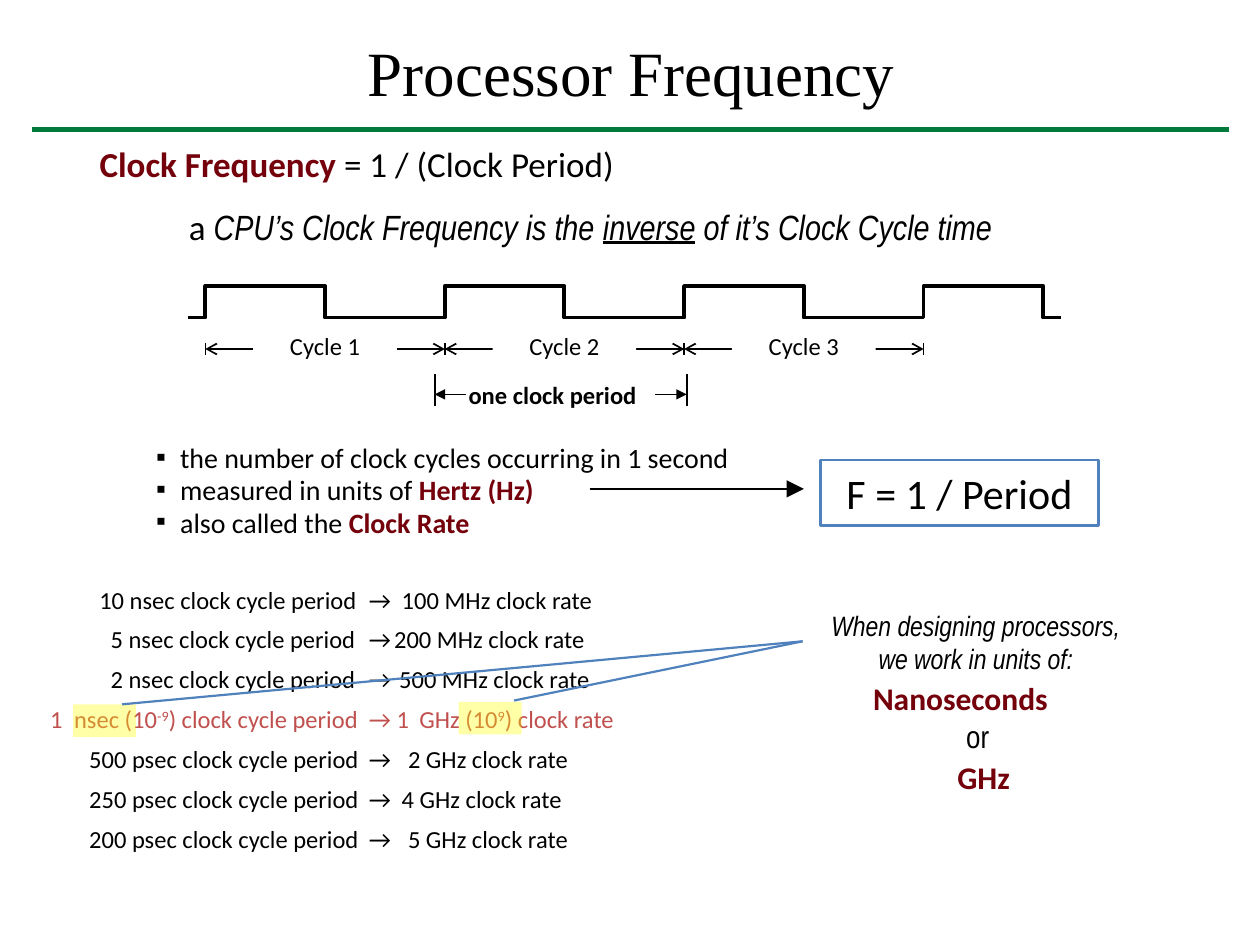
from lxml import etree
from pptx import Presentation
from pptx.dml.color import RGBColor
from pptx.enum.shapes import MSO_CONNECTOR, MSO_SHAPE
from pptx.enum.text import MSO_ANCHOR, MSO_AUTO_SIZE, PP_ALIGN
from pptx.oxml.ns import qn
from pptx.util import Pt

PX = 9144
STRAIGHT = MSO_CONNECTOR.STRAIGHT
RECTANGLE = MSO_SHAPE.RECTANGLE
TOP, MIDDLE, BOTTOM = MSO_ANCHOR.TOP, MSO_ANCHOR.MIDDLE, MSO_ANCHOR.BOTTOM
LEFT, CENTER = PP_ALIGN.LEFT, PP_ALIGN.CENTER
NO_RESIZE = MSO_AUTO_SIZE.NONE
BLACK, RED, GREEN, BLUE, CORAL = "000000", "73000A", "007A3A", "4F81BD", "C0504D"
WHITE, YELLOW = "FFFFFF", "FFFF00"
SANS, NARROW, SERIF = "Calibri", "Arial Narrow", "Times New Roman"
STRONG = {"bold": True, "color": RED}
SLANTED = {"italic": True, "font": NARROW}
RAISED = {"baseline": 30000}


def color(value):
    """Turn a hex string into a colour."""
    return RGBColor.from_string(value)


def px(*values):
    """Turn px lengths into EMU."""
    return [round(value * PX) for value in values]


def child(parent, tag, **attributes):
    """Append an XML element with the given attributes."""
    node = etree.SubElement(parent, qn(tag))
    for name, value in attributes.items():
        node.set(name, str(value))
    return node


def style_frame(box, anchor=TOP, insets=(10, 5, 10, 5), wrap=True):
    """Set the text layout of a box and return its frame."""
    frame = box.text_frame
    frame.auto_size = NO_RESIZE
    frame.word_wrap = wrap
    frame.vertical_anchor = anchor
    (frame.margin_left, frame.margin_top,
     frame.margin_right, frame.margin_bottom) = px(*insets)
    return frame


def write(frame, spans, size, align=LEFT, before=0, spacing=1.0, margin=0,
          hanging=0, bullet=None, tabs=()):
    """Add one paragraph, reusing the first while it is empty."""
    para = frame.paragraphs[0]
    if para.runs:
        para = frame.add_paragraph()
    properties = para._p.get_or_add_pPr()
    if margin:
        properties.set("marL", str(px(margin)[0]))
        properties.set("indent", str(px(-hanging)[0]))
    if bullet:
        child(properties, "a:buFont", typeface="Arial")
        child(properties, "a:buChar", char=bullet)
    if tabs:
        stops = child(properties, "a:tabLst")
        for stop in px(*tabs):
            child(stops, "a:tab", pos=stop, algn="l")
    para.alignment = align
    para.space_before = Pt(before)
    para.line_spacing = spacing
    for text, look in spans:
        span = para.add_run()
        span.text = text
        font = span.font
        font.size = Pt(size)
        font.name = look.get("font", SANS)
        font.color.rgb = color(look.get("color", BLACK))
        font.bold = look.get("bold", False)
        font.italic = look.get("italic", False)
        font.underline = look.get("underline", False)
        if "baseline" in look:
            span._r.get_or_add_rPr().set("baseline", str(look["baseline"]))


def text_box(page, left, top, width, height, **layout):
    """Add a text box and return its frame."""
    box = page.shapes.add_textbox(*px(left, top, width, height))
    return style_frame(box, **layout)


def rectangle(page, left, top, width, height, fill=None, line=None, alpha=None):
    """Add a rectangle with optional fill, outline and opacity."""
    box = page.shapes.add_shape(RECTANGLE, *px(left, top, width, height))
    box.shadow.inherit = False
    box.fill.background()
    box.line.fill.background()
    if fill:
        box.fill.solid()
        box.fill.fore_color.rgb = color(fill)
    if alpha:
        child(box.fill._xPr.find(qn("a:solidFill"))[0], "a:alpha", val=alpha)
    if line:
        box.line.color.rgb = color(line)
        box.line.width = Pt(1.5)
    return box


def connect(page, start, end, shade=BLACK, width=1, head=None, tail=None,
            size="med"):
    """Draw a straight line with optional arrowheads."""
    line = page.shapes.add_connector(STRAIGHT, *px(*start, *end))
    line.line.color.rgb = color(shade)
    line.line.width = Pt(width)
    stroke = line.line._get_or_add_ln()
    for tag, kind in (("a:headEnd", head), ("a:tailEnd", tail)):
        if kind:
            child(stroke, tag, type=kind, w=size, len=size)
    child(line._element.spPr, "a:effectLst")


def heading(page, left, top, width, height):
    """Place the title and the rule below it."""
    title = page.shapes.title
    title.left, title.top, title.width, title.height = px(left, top, width, height)
    frame = style_frame(title, anchor=BOTTOM, insets=(2, 1, 0, 0))
    write(frame, [("Processor Frequency", {"font": SERIF})], 36, CENTER)
    connect(page, (left, top + 78), (left + width, top + 78), GREEN, 3)


def definition(page, left, top, width):
    """State the frequency formula and its meaning."""
    frame = text_box(page, left, top, width, 75, insets=(7, 3, 7, 3))
    write(frame, [("Clock Frequency ", STRONG), ("= 1 / (Clock Period)", {})], 20)
    frame = text_box(page, left + 56, top + 57, width - 162, 32)
    write(frame, [("a", {}), (" CPU’s Clock Frequency is the ", SLANTED),
                  ("inverse", {**SLANTED, "underline": True}),
                  (" of it’s Clock Cycle time", SLANTED)], 20, spacing=0.7, margin=12)


def clock_signal(page, left, top, cycle, height):
    """Draw the square wave, its cycle spans and one period."""
    first, low, cycles = left + 14, top + height, 3
    points = []
    for edge in range(2 * cycles + 2):
        x = first + edge * cycle / 2
        levels = (low, top) if edge % 2 == 0 else (top, low)
        points += [(x, level) for level in levels]
    points.append((points[-1][0] + 14, low))
    builder = page.shapes.build_freeform(left, low, scale=PX)
    builder.add_line_segments(points, close=False)
    wave = builder.convert_to_shape()
    wave.shadow.inherit = False
    wave.fill.background()
    wave.line.color.rgb = color(BLACK)
    wave.line.width = Pt(2.25)

    middle = low + 25
    for number in range(cycles):
        x = first + number * cycle
        connect(page, (x, middle), (x + cycle, middle), head="arrow", tail="arrow")
        label = rectangle(page, x + 38, middle - 10, cycle - 76, 15, WHITE)
        frame = style_frame(label, MIDDLE, (0, 0, 0, 0))
        write(frame, [(f"Cycle {number + 1}", {})], 14, CENTER)
    for number in range(cycles + 1):
        x = first + number * cycle
        connect(page, (x, middle - 5), (x, middle + 5))

    start, end, top = first + cycle - 8, first + 2 * cycle + 2, low + 45
    frame = text_box(page, start + 17, top, 175, 34)
    write(frame, [("one clock period", {"bold": True})], 14)
    for x, inward in ((start, 25), (end, -25)):
        connect(page, (x, top), (x, top + 25))
        connect(page, (x + inward, top + 16), (x, top + 16), tail="triangle")


def facts(page, left, top, width, height):
    """Fill the body list and point from it to the formula."""
    body = page.placeholders[1]
    body.left, body.top, body.width, body.height = px(left, top, width, height)
    frame = style_frame(body)
    items = [[("the number of clock cycles occurring in 1 second", {})],
             [("measured in units of ", {}), ("Hertz (Hz)", STRONG)],
             [("also called the ", {}), ("Clock Rate", STRONG)]]
    for index, spans in enumerate(items):
        write(frame, spans, 16, before=5 if index else 0, spacing=0.7,
              margin=75, hanging=19, bullet="▪")
    box = rectangle(page, left + 593, top + 13, 221, 52, line=BLUE)
    frame = style_frame(box, MIDDLE, wrap=False)
    write(frame, [("F = 1 / Period", {})], 24, CENTER)
    connect(page, (left + 410, top + 36), (left + 580, top + 36),
            tail="triangle", size="lg")


def conversions(page, left, top, width, height):
    """List clock periods with their rates."""
    tint = {"color": CORAL}
    raised = {**tint, **RAISED}
    gigahertz = [("\t1\tnsec (10", tint), ("-9", raised),
                 (") clock cycle period\t→\t1\tGHz (10", tint),
                 ("9", raised), (") clock rate", tint)]
    rows = [("10 nsec", "100 MHz", (44, 258, 284)),
            ("5 nsec", "200 MHz", (53, 258, 278)),
            ("2 nsec", "500 MHz", (53, 258, 282)),
            (None, None, (5, 24, 258, 280, 298)),
            ("500 psec", "2 GHz", (36, 258, 289)),
            ("250 psec", "4 GHz", (36, 258, 284)),
            ("200 psec", "5 GHz", (36, 258, 289))]
    frame = text_box(page, left, top, width, height)
    for index, (period, rate, tabs) in enumerate(rows):
        plain = [(f"\t{period} clock cycle period\t→\t{rate} clock rate", {})]
        write(frame, plain if period else gigahertz, 14,
              before=6 if index else 0, tabs=tabs)


def design_units(page, left, top, width, height):
    """Name the usual units and tie them to the marked values."""
    frame = text_box(page, left, top, width, height)
    write(frame, [("When designing processors, we work in units of:", SLANTED)],
          16, CENTER)
    write(frame, [("Nanoseconds", STRONG)], 18, before=2, margin=44)
    write(frame, [("or", {"font": NARROW})], 18, margin=118)
    write(frame, [("GHz", STRONG)], 18, before=2, margin=111)
    for x, y in ((-275, 79), (-581, 81)):
        rectangle(page, left + x, top + y, 50, 26, YELLOW, alpha=34000)
    for x, y in ((-542, 81), (-231, 78)):
        connect(page, (left + x, top + y), (left - 2, top + 31), BLUE, 1.25)


def main():
    """Build and save the slide."""
    deck = Presentation()
    deck.slide_width, deck.slide_height = px(1000, 750)
    page = deck.slides.add_slide(deck.slide_layouts[1])
    heading(page, 25, 25, 950, 62)
    conversions(page, 25, 459, 650, 226)
    definition(page, 72, 110, 898)
    clock_signal(page, 149, 227, 190, 25)
    facts(page, 58, 352, 662, 74)
    design_units(page, 639, 478, 271, 160)
    deck.save("out.pptx")


if __name__ == "__main__":
    main()
